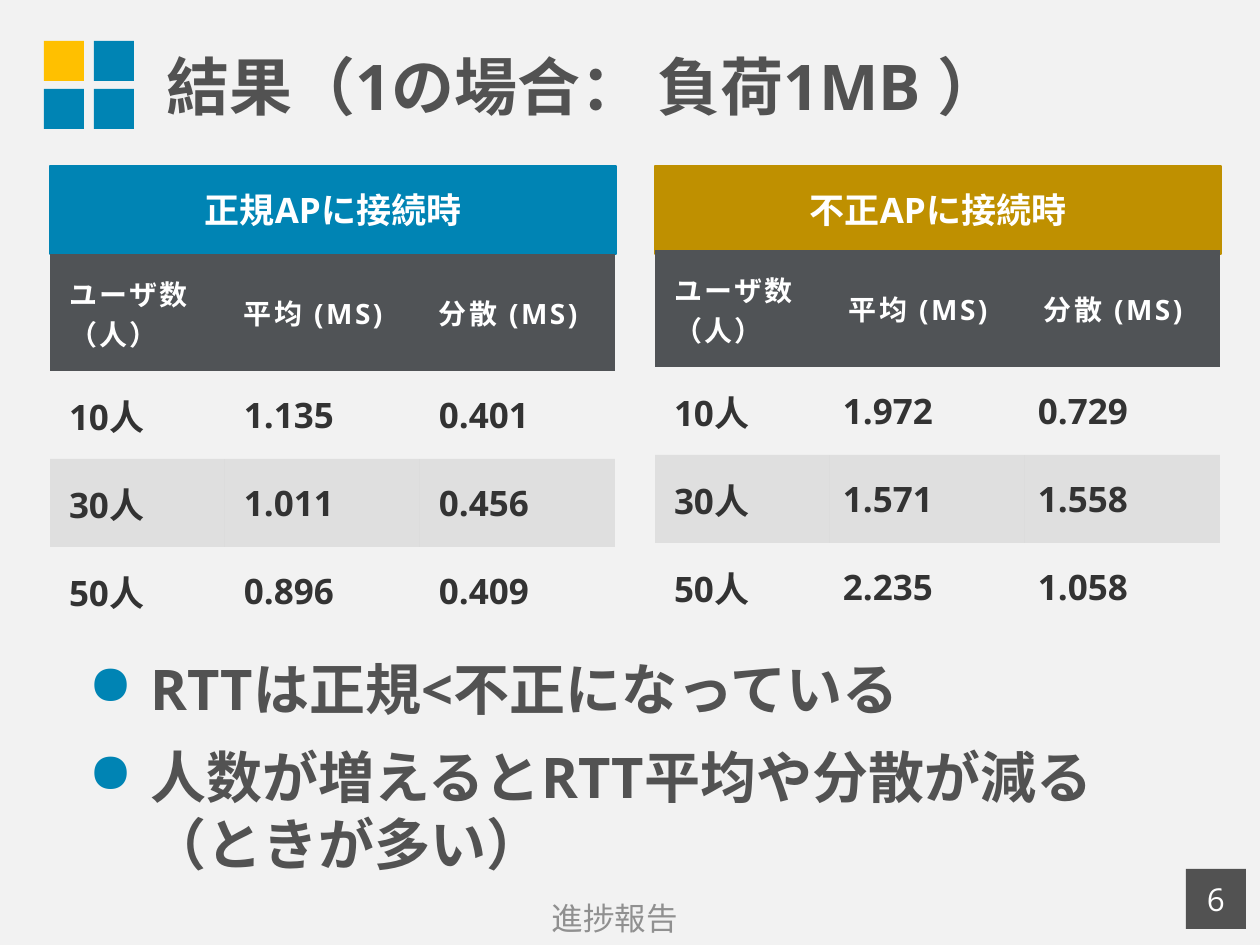
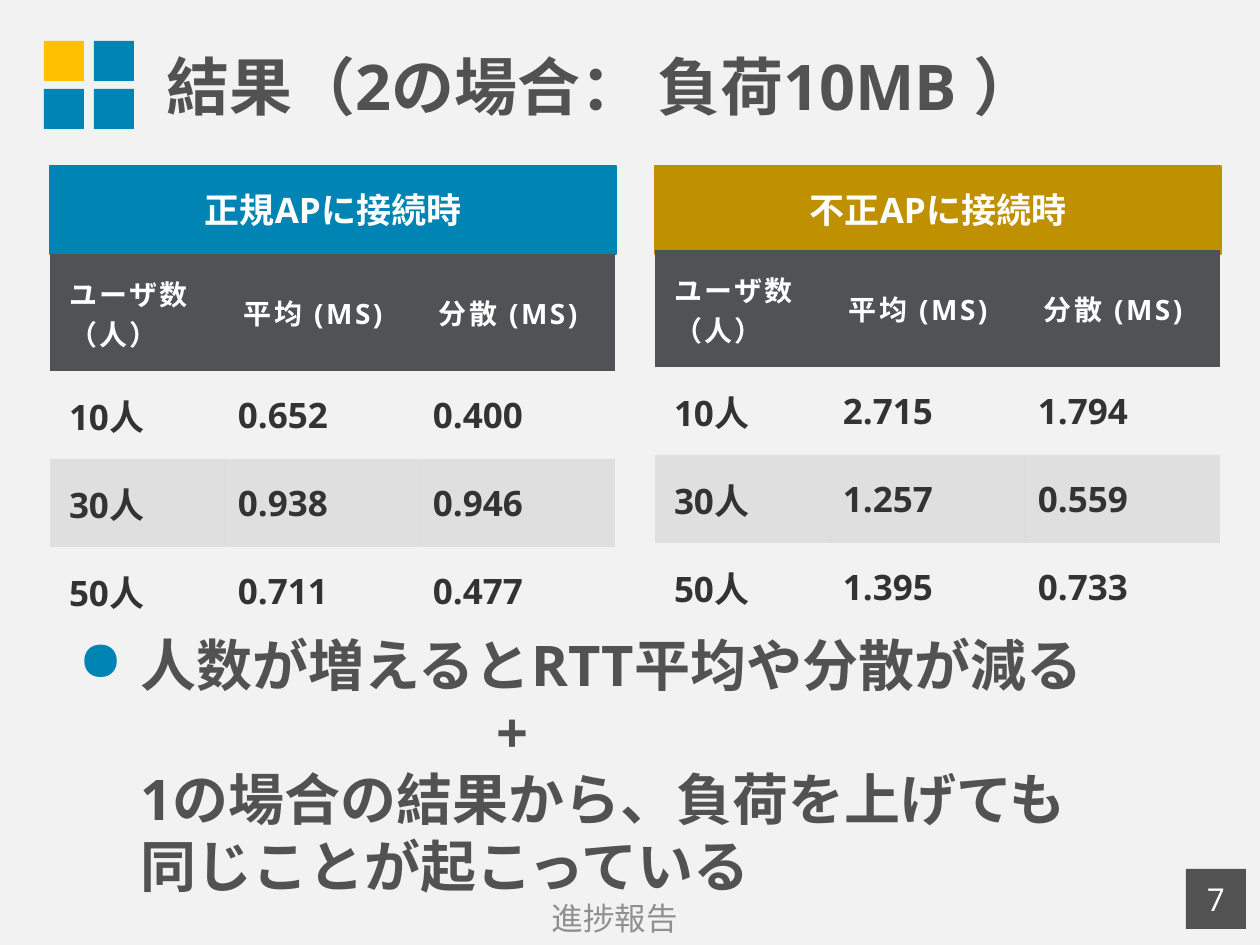
from lxml.etree import SubElement
from pptx import Presentation
from pptx.dml.color import RGBColor
from pptx.enum.shapes import MSO_SHAPE as Preset
from pptx.enum.text import MSO_ANCHOR as Anchor, PP_ALIGN as Align
from pptx.oxml.ns import qn
from pptx.util import Emu, Pt

FONT = "Open Sans"
COLORS = {
    "background": "F2F2F2", "blue": "0084B4", "yellow": "FFC000", "gold": "BF9000",
    "dark": "525252", "header": "505356", "value": "333333", "footer": "909090",
    "white": "FFFFFF", "stripe": "000000",
}
FOOTER = "進捗報告"
HEADINGS = ["ユーザ数 （人）", "平均 (MS)", "分散 (MS)"]
USERS = ["10人", "30人", "50人"]
PANELS = [
    {"label": "正規APに接続時", "color": "blue", "left": 50, "table_top": 254},
    {"label": "不正APに接続時", "color": "gold", "left": 655, "table_top": 250},
]
RESULTS = [
    {
        "number": 6,
        "title": "結果（1の場合： 負荷1MB ）",
        "values": [
            [("1.135", "0.401"), ("1.011", "0.456"), ("0.896", "0.409")],
            [("1.972", "0.729"), ("1.571", "1.558"), ("2.235", "1.058")],
        ],
        "value_insets": [19, 13],
        "findings_at": (76, 648),
        "findings": [
            ("bullet", "RTTは正規<不正になっている"),
            ("bullet", "人数が増えるとRTT平均や分散が減る\n（ときが多い）"),
        ],
    },
    {
        "number": 7,
        "title": "結果（2の場合： 負荷10MB ）",
        "values": [
            [("0.652", "0.400"), ("0.938", "0.946"), ("0.711", "0.477")],
            [("2.715", "1.794"), ("1.257", "0.559"), ("1.395", "0.733")],
        ],
        "value_insets": [13, 13],
        "findings_at": (66, 624),
        "findings": [
            ("bullet", "人数が増えるとRTT平均や分散が減る"),
            ("plus", "+"),
            ("plain", "1の場合の結果から、負荷を上げても\n同じことが起こっている"),
        ],
    },
]
COLUMN_WIDTHS = [175, 195, 195]
ROW_HEIGHTS = [117, 88, 88, 88]
BULLET_INDENT = 62
INDENTS = {"bullet": BULLET_INDENT, "plain": BULLET_INDENT, "plus": 418}
NO_GRID_STYLE = "{2D5ABB26-0587-4C30-8999-92F81FD0307C}"


def px(length):
    return Emu(round(length * 914400 / 126))


def rgb(name):
    return RGBColor.from_string(COLORS[name])


def write(paragraph, text, size, color, bold=False, align=Align.LEFT):
    paragraph.text = text
    paragraph.alignment = align
    font = paragraph.font
    font.name, font.size, font.bold = FONT, Pt(size), bold
    font.color.rgb = rgb(color)


def add_text(slide, box, text, size, color, **style):
    frame = slide.shapes.add_textbox(*map(px, box)).text_frame
    frame.word_wrap = True
    frame.vertical_anchor = Anchor.MIDDLE
    write(frame.paragraphs[0], text, size, color, **style)
    return frame.paragraphs[0]


def add_block(slide, box, color):
    shape = slide.shapes.add_shape(Preset.RECTANGLE, *map(px, box))
    shape.shadow.inherit = False
    shape.fill.solid()
    shape.fill.fore_color.rgb = rgb(color)
    shape.line.fill.background()
    return shape


def add_labelled_block(slide, box, color, text, size, bold=False):
    shape = add_block(slide, box, color)
    shape.text_frame.vertical_anchor = Anchor.MIDDLE
    paragraph = shape.text_frame.paragraphs[0]
    write(paragraph, text, size, "white", bold, Align.CENTER)
    return shape, paragraph


def add_frame(slide, title, number):
    for index, color in enumerate(["yellow", "blue", "blue", "blue"]):
        row, column = divmod(index, 2)
        add_block(slide, (44 + 50 * column, 41 + 48 * row, 40, 40), color)
    add_text(slide, (154, 6, 1095, 159), title, 36, "dark", bold=True)
    footer = add_text(slide, (48, 895, 1134, 50), FOOTER, 18, "footer", align=Align.CENTER)
    footer.line_spacing = 0.9
    footer.space_after = Pt(6)
    paragraph = add_labelled_block(slide, (1186, 869, 60, 60), "dark", str(number), 18)[1]
    paragraph.space_after = Pt(6)


def fill_cell(cell, row):
    if row == 0:
        cell.fill.solid()
        cell.fill.fore_color.rgb = rgb("header")
    elif row == 2:
        cell.fill.solid()
        cell.fill.fore_color.rgb = rgb("stripe")
        color = cell.fill._xPr.find(qn("a:solidFill"))[0]
        SubElement(color, qn("a:alpha"), val="8000")
    else:
        cell.fill.background()


def add_panel(slide, panel, values, value_inset):
    band, paragraph = add_labelled_block(
        slide, (panel["left"], 166, 566, 88), panel["color"], panel["label"], 20, True)
    band.line.color.rgb = rgb(panel["color"])
    band.line.width = Pt(0.75)
    paragraph.space_before = Pt(4)

    rows = [HEADINGS] + [(user, *pair) for user, pair in zip(USERS, values)]
    box = (panel["left"], panel["table_top"], sum(COLUMN_WIDTHS), sum(ROW_HEIGHTS))
    graphic = slide.shapes.add_table(len(rows), len(HEADINGS), *map(px, box))
    table = graphic.table
    table._tbl.tblPr.find(qn("a:tableStyleId")).text = NO_GRID_STYLE
    for column, width in zip(table.columns, COLUMN_WIDTHS):
        column.width = px(width)
    for row, height in zip(table.rows, ROW_HEIGHTS):
        row.height = px(height)
    for row, texts in enumerate(rows):
        for column, text in enumerate(texts):
            cell = table.cell(row, column)
            fill_cell(cell, row)
            cell.vertical_anchor = Anchor.MIDDLE
            inset = value_inset if row and column else 19
            cell.margin_left = cell.margin_right = px(inset)
            cell.margin_top = cell.margin_bottom = px(19 if inset == 19 else 6)
            paragraph = cell.text_frame.paragraphs[0]
            if row:
                write(paragraph, text, 20, "value", True)
            else:
                write(paragraph, text, 16, "white", True)
                paragraph.font._element.set("spc", "150")


def add_bullet(properties):
    properties.set("indent", str(-px(BULLET_INDENT)))
    color = SubElement(properties, qn("a:buClr"))
    SubElement(color, qn("a:srgbClr"), val=COLORS["blue"])
    SubElement(properties, qn("a:buChar"), char="●")
    defaults = properties.find(qn("a:defRPr"))
    properties.append(defaults)


def add_findings(slide, position, findings):
    frame = slide.shapes.add_textbox(*map(px, (*position, 1194, 297))).text_frame
    frame.word_wrap = True
    for index, (kind, text) in enumerate(findings):
        paragraph = frame.add_paragraph() if index else frame.paragraphs[0]
        write(paragraph, text, 32, "dark", True)
        paragraph.space_before = Pt(12 if kind == "bullet" else 0)
        properties = paragraph._p.get_or_add_pPr()
        properties.set("marL", str(px(INDENTS[kind])))
        if kind == "bullet":
            add_bullet(properties)


def main():
    presentation = Presentation()
    presentation.slide_width, presentation.slide_height = px(1260), px(945)
    background = presentation.slide_master.background.fill
    background.solid()
    background.fore_color.rgb = rgb("background")
    for result in RESULTS:
        slide = presentation.slides.add_slide(presentation.slide_layouts[6])
        add_frame(slide, result["title"], result["number"])
        for panel, values, inset in zip(PANELS, result["values"], result["value_insets"]):
            add_panel(slide, panel, values, inset)
        add_findings(slide, result["findings_at"], result["findings"])
    presentation.save("out.pptx")


if __name__ == "__main__":
    main()
